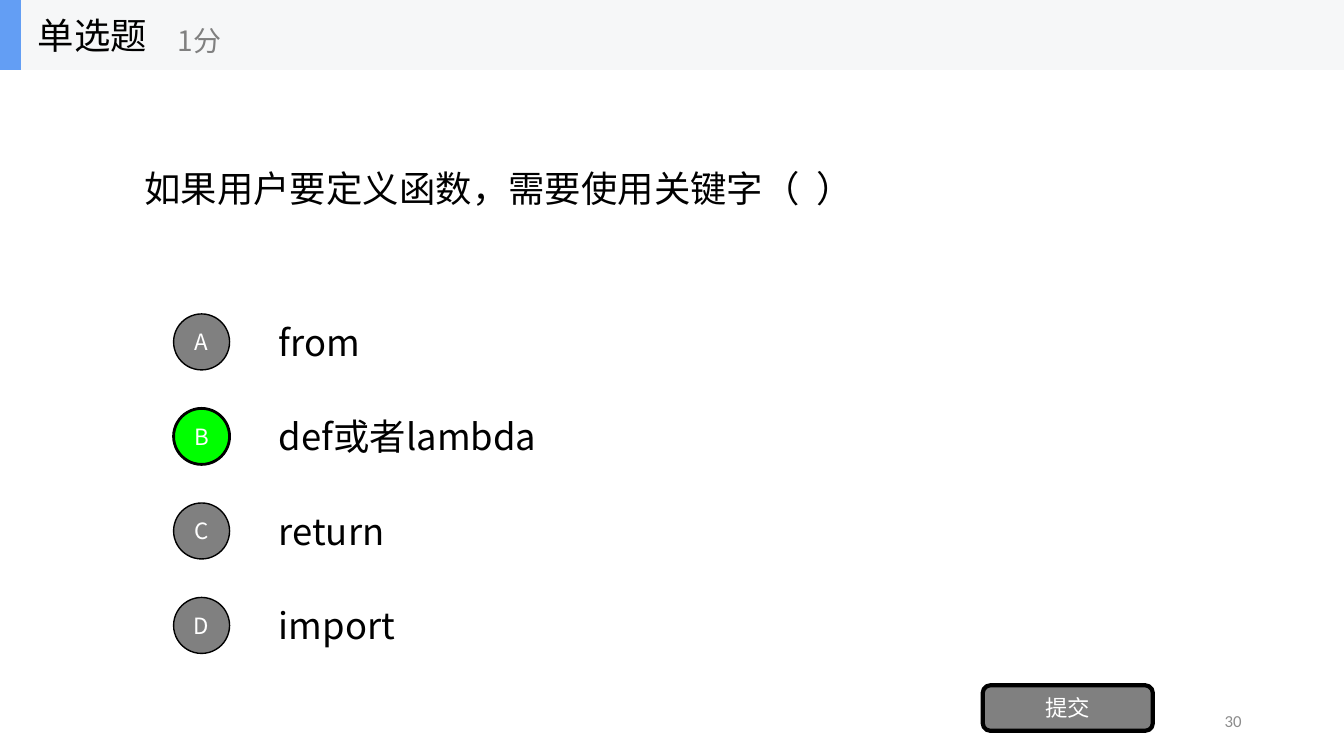
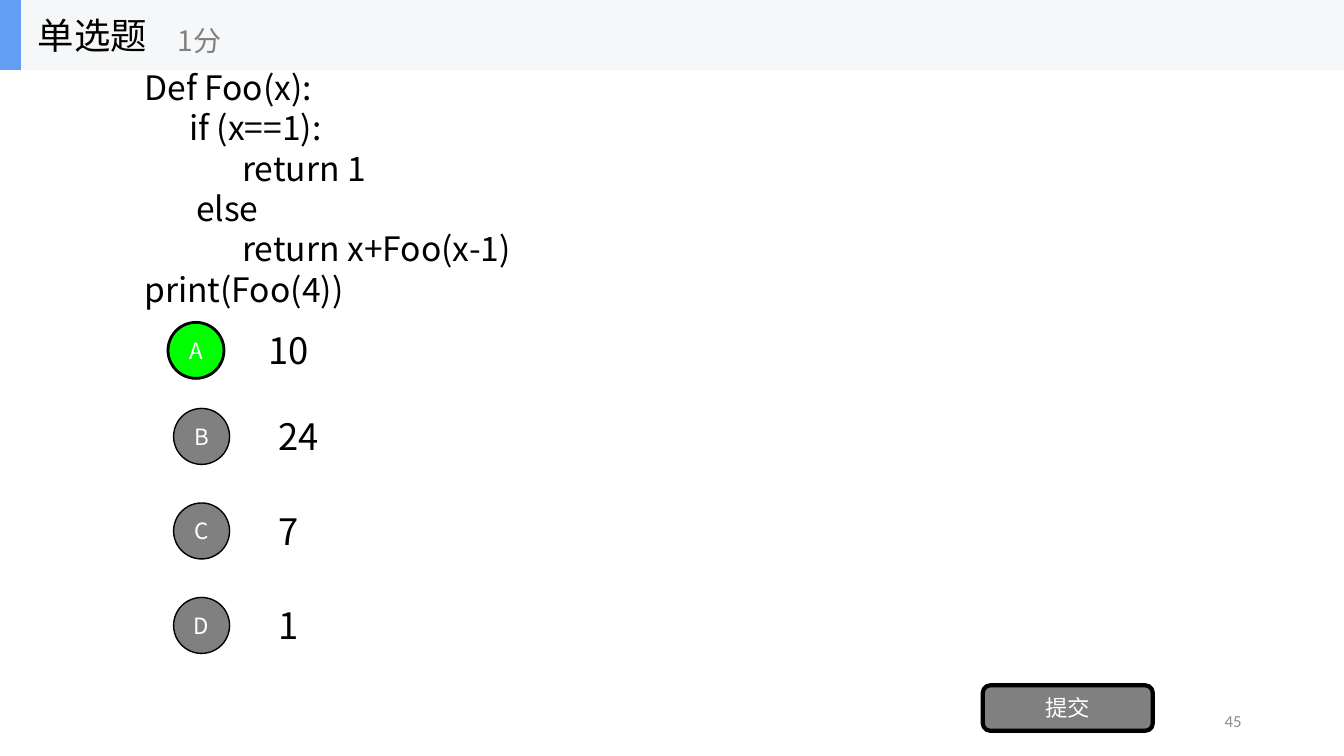
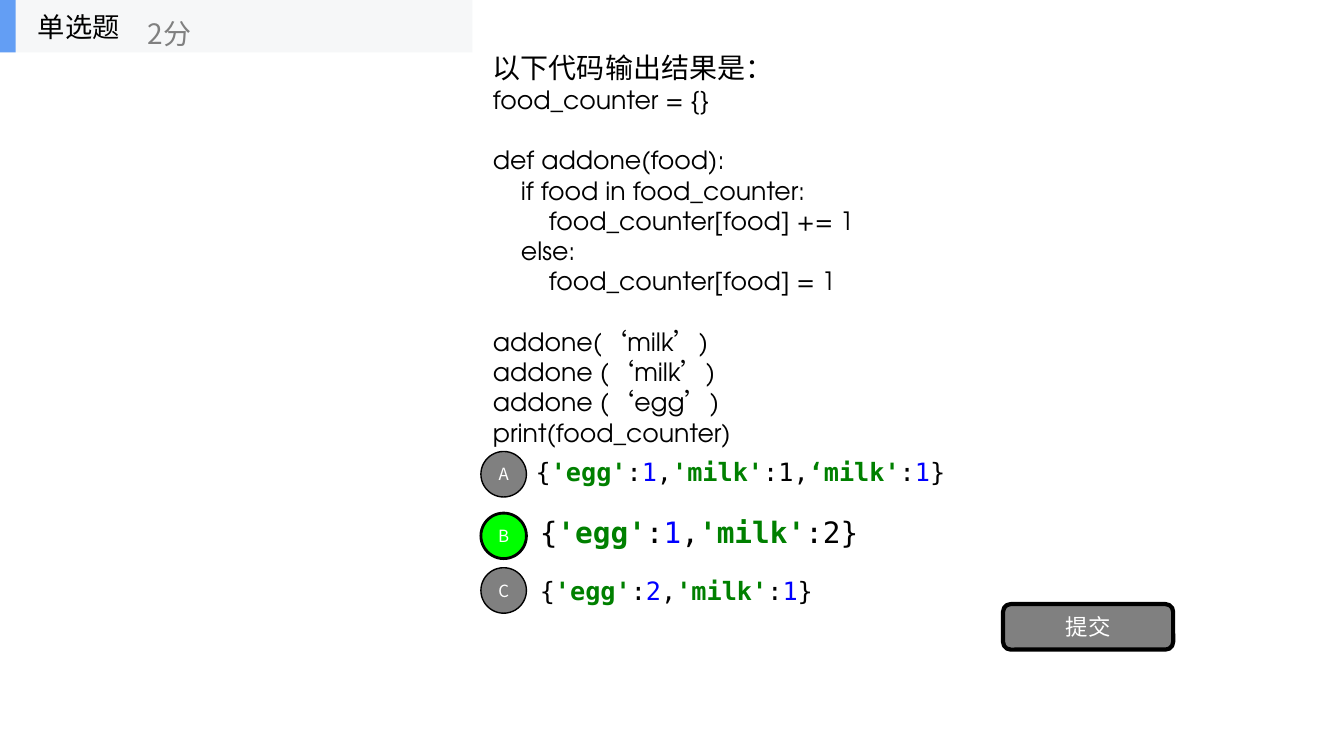
"""Build three single-choice quiz pages about Python functions."""
from itertools import groupby

from lxml import etree
from pptx import Presentation
from pptx import util as u
from pptx.dml.color import RGBColor
from pptx.enum import lang, shapes, text
from pptx.oxml.ns import qn

COLOURS = {
    "ink": "000000", "paper": "FFFFFF", "band": "F6F7F8", "accent": "639EF4",
    "grey": "808080", "correct": "00FF00", "number": "8C8C8C",
    "string": "008000", "digit": "0000FF",
}
SANS, CODE, MONO, FOOT = "Noto Sans CJK SC", "TeX Gyre Adventor", "DejaVu Sans Mono", "Calibri"
LEFT, CENTRE, RIGHT = text.PP_ALIGN.LEFT, text.PP_ALIGN.CENTER, text.PP_ALIGN.RIGHT
QUOTES = "‘’"


def colour(name):
    """Return a named colour."""
    return RGBColor.from_string(COLOURS[name])


def add_span(para, words, size, font=SANS, ink="ink", bold=False):
    """Add one run, with the same face for Latin and a Chinese fallback."""
    span = para.add_run()
    span.text = words
    span.font.name, span.font.size, span.font.bold = font, u.Pt(size), bold
    span.font.color.rgb = colour(ink)
    span.font.language_id = lang.MSO_LANGUAGE_ID.SIMPLIFIED_CHINESE
    east = etree.SubElement(span._r.rPr, qn("a:ea"))
    east.set("typeface", SANS)


def add_text(page, box):
    """Add an empty, wrapped and vertically centred text box; return its frame."""
    frame = page.shapes.add_textbox(*map(u.Pt, box)).text_frame
    frame.word_wrap = True
    frame.vertical_anchor = text.MSO_ANCHOR.MIDDLE
    return frame


def add_line(page, box, words, size, font=SANS, ink="ink", align=LEFT):
    """Add a text box holding one plain line."""
    para = add_text(page, box).paragraphs[0]
    para.alignment = align
    add_span(para, words, size, font, ink)


def add_panel(page, kind, box, fill, line=0, words="", size=16):
    """Add a filled shape with an optional outline and centred label."""
    panel = page.shapes.add_shape(kind, *map(u.Pt, box))
    panel.shadow.inherit = False
    panel.fill.solid()
    panel.fill.fore_color.rgb = colour(fill)
    if line:
        panel.line.color.rgb = colour("ink")
        panel.line.width = u.Pt(line)
    else:
        panel.line.fill.background()
    if words:
        frame = panel.text_frame
        frame.margin_left = frame.margin_right = frame.margin_top = frame.margin_bottom = 0
        frame.vertical_anchor = text.MSO_ANCHOR.MIDDLE
        frame.paragraphs[0].alignment = CENTRE
        add_span(frame.paragraphs[0], words, size, ink="paper")


def add_header(page, box, points, points_left):
    """Draw the title band with its accent bar, question type and points."""
    left, top, width, height = box
    scale = height / 50
    add_panel(page, shapes.MSO_SHAPE.RECTANGLE, box, "band")
    add_panel(page, shapes.MSO_SHAPE.RECTANGLE, (left, top, 15 * scale, height), "accent")
    add_line(page, (left + 20, top, 150 * scale, height), "单选题", 26 * scale)
    add_line(page, (left + points_left, top + 8.5, 180 * scale, 40 * scale),
             points, 20, ink="grey")


def add_code(page, box, lines, font, leading):
    """Write code lines given as (text, size, indent, gap before)."""
    frame = add_text(page, box)
    for index, (words, size, indent, gap) in enumerate(lines):
        para = frame.add_paragraph() if index else frame.paragraphs[0]
        para.line_spacing = u.Pt(leading)
        para.space_before = u.Pt(gap)
        if indent:
            para._p.get_or_add_pPr().set("marL", str(u.Pt(indent)))
        for is_quote, letters in groupby(words, lambda letter: letter in QUOTES):
            add_span(para, "".join(letters), size, SANS if is_quote else font)


def add_badge(page, box, letter, correct, size):
    """Draw the lettered circle of an option, green when correct."""
    add_panel(page, shapes.MSO_SHAPE.OVAL, box, "correct" if correct else "grey",
              2 if correct else 1, letter, size)


def add_options(page, box, answers, correct, nudges):
    """Stack four lettered options, shifting those named in nudges."""
    left, top, width, pitch = box
    for row, (letter, answer) in enumerate(zip("ABCD", answers)):
        badge_dx, text_dx, dy = nudges.get(letter, (0, 0, 0))
        y = top + row * pitch + dy
        add_line(page, (left + 68 + text_dx, y, width - 68, 50), answer, 26)
        add_badge(page, (left + badge_dx, y + 5, 40, 40), letter, letter == correct, 16)


def add_dict_option(page, box, letter, spans, size, correct):
    """Place a small lettered circle and a coloured dictionary literal."""
    left, top, width, badge_top = box
    para = add_text(page, (left, top, width, 50)).paragraphs[0]
    for words, ink in spans:
        add_span(para, words, size, MONO, ink, ink == "string")
    add_badge(page, (343.5, badge_top, 32.5, 32.5), letter, correct, 12)


def add_submit(page, left, top):
    """Draw the submit button."""
    add_panel(page, shapes.MSO_SHAPE.ROUNDED_RECTANGLE, (left, top, 121.5, 32.5),
              "grey", 3, "提交")


def add_choice_page(deck, number, answers, correct, nudges):
    """Add a full-width quiz page without its question; return the page."""
    page = deck.slides.add_slide(deck.slide_layouts[6])
    add_line(page, (678, 500.5, 216, 29), number, 12, FOOT, "number", RIGHT)
    add_options(page, (124, 219.25, 740, 67.5), answers, correct, nudges)
    add_submit(page, 702, 489.5)
    add_header(page, (0, 0, 960, 50), "1分", 120)
    return page


def add_counter_page(deck):
    """Add the page about counting food in a dictionary."""
    page = deck.slides.add_slide(deck.slide_layouts[6])
    step, leading = 20, 21.6
    lines = [
        ("以下代码输出结果是：", 20, 0, 0),
        ("food_counter = {}", 18, 0, 0),
        ("def addone(food):", 18, 0, leading),
        ("if food in food_counter:", 18, step, 0),
        ("food_counter[food] += 1", 18, 2 * step, 0),
        ("else:", 18, step, 0),
        ("food_counter[food] = 1", 18, 2 * step, 0),
        ("addone(‘milk’)", 18, 0, leading),
        ("addone (‘milk’)", 18, 0, 0),
        ("addone (‘egg’)", 18, 0, 0),
        ("print(food_counter)", 18, 0, 0),
    ]
    add_code(page, (345, 89.5, 276.5, 179), lines, CODE, leading)
    egg, milk = ("'egg'", "string"), ("'milk'", "string")
    start, colon, comma, end = [(mark, "ink") for mark in "{:,}"]
    one, two = ("1", "digit"), ("2", "digit")
    add_dict_option(page, (375.5, 312, 325.5, 322.5), "A",
                    [start, egg, colon, one, comma, milk, (":1,", "ink"),
                     ("‘milk'", "string"), colon, one, end], 18, False)
    add_dict_option(page, (378.5, 355, 277, 366.5), "B",
                    [start, egg, colon, one, comma, milk, (":2}", "ink")], 21, True)
    add_dict_option(page, (378.5, 396.5, 236, 405.5), "C",
                    [start, egg, colon, two, comma, milk, colon, one, end], 18, False)
    add_submit(page, 716.5, 431.5)
    add_header(page, (0, 0, 337.5, 37.5), "2分", 98.5)


def main():
    """Build and save the deck."""
    deck = Presentation()
    deck.slide_width, deck.slide_height = u.Pt(960), u.Pt(540)
    question = (96, 50, 768, 168.5)

    page = add_choice_page(deck, "30", ["from", "def或者lambda", "return", "import"], "B", {})
    add_line(page, question, "如果用户要定义函数，需要使用关键字（  ）", 26)

    page = add_choice_page(deck, "45", ["10", "24", "7", "1"], "A", {"A": (-4, -7.5, 6)})
    lines = [("Def Foo(x):", 0), ("if (x==1):", 32), ("return 1", 70), ("else", 37),
             ("return x+Foo(x-1)", 70), ("print(Foo(4))", 0)]
    add_code(page, question, [(words, 24, indent, 0) for words, indent in lines], SANS, 28.8)

    add_counter_page(deck)
    deck.save("out.pptx")


main()
